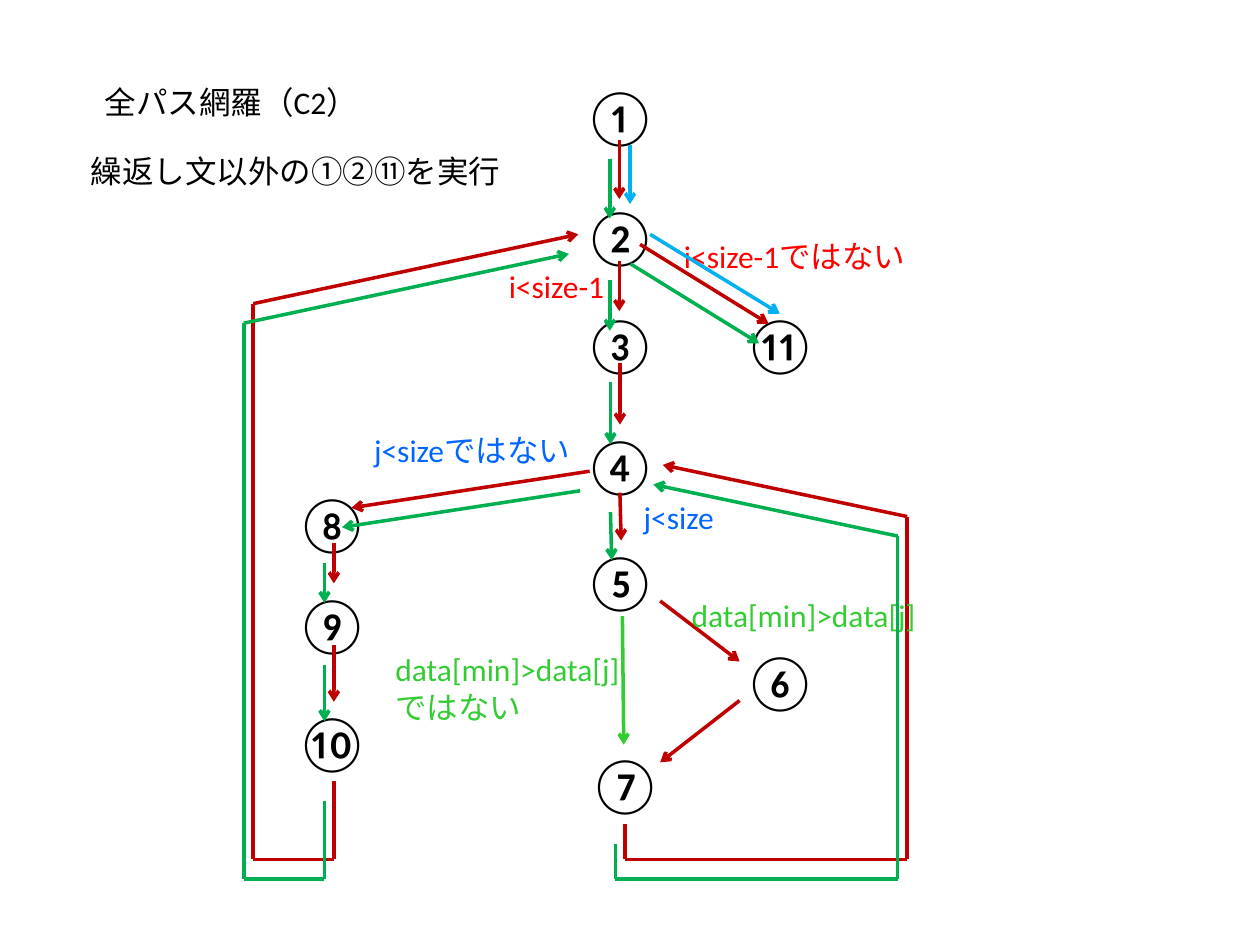
from dataclasses import dataclass

import pptx
import pptx.dml.color
import pptx.enum.shapes
import pptx.enum.text
import pptx.oxml
import pptx.oxml.ns
import pptx.util

Inches = pptx.util.Inches
Point = tuple[float, float]

BLACK, RED, BLUE, LIME = "000000", "FF0000", "0066FF", "33CC33"
LOOP_PATH, SKIP_PATH, EXIT_PATH = "C00000", "00B050", "00B0F0"

# Columns of the flow graph, in inches
LEFT, MIDDLE, END, RIGHT = 2.25, 4.53, 4.57, 5.8
NODE_SIZE = (0.79, 0.64)
# The second path runs beside the first one
SKIP_SHIFT = (-0.075, 0.155)


@dataclass(frozen=True)
class Node:
    number: str
    column: float
    top: float


@dataclass(frozen=True)
class Label:
    text: str
    left: float
    top: float
    width: float
    color: str
    height: float = 0.4


@dataclass(frozen=True)
class Route:
    points: tuple[Point, ...]
    shared: bool = True
    color: str = LOOP_PATH


NODES = [
    Node("①", MIDDLE, 0.6), Node("②", MIDDLE, 1.55), Node("③", MIDDLE, 2.41),
    Node("④", MIDDLE, 3.37), Node("⑤", MIDDLE, 4.29), Node("⑥", RIGHT, 5.08),
    Node("⑦", END, 5.9), Node("⑧", LEFT, 3.83), Node("⑨", LEFT, 4.63),
    Node("⑩", LEFT, 5.57), Node("⑪", RIGHT, 2.41),
]

ROUTES = [
    # Down the middle
    Route(((4.915, 1.11), (4.915, 1.58))),
    Route(((4.915, 2.07), (4.915, 2.47))),
    Route(((4.92, 2.88), (4.92, 3.37))),
    Route(((4.92, 3.91), (4.93, 4.29))),
    # The branch at node 5
    Route(((4.94, 4.89), (4.95, 5.91)), shared=False, color=LIME),
    Route(((5.24, 4.77), (5.87, 5.25)), shared=False),
    Route(((5.87, 5.56), (5.24, 6.05)), shared=False),
    # Down the left
    Route(((4.68, 3.74), (2.79, 4.03))),
    Route(((2.65, 4.31), (2.65, 4.63))),
    Route(((2.65, 5.12), (2.65, 5.57))),
    # Exit and the two loops back
    Route(((5.08, 1.94), (6.1, 2.57))),
    Route(((4.96, 6.54), (4.96, 6.82), (7.2, 6.82), (7.2, 4.1), (5.26, 3.69))),
    Route(((2.65, 6.2), (2.65, 6.82), (2.01, 6.82), (2.01, 2.41), (4.59, 1.86))),
]

EXIT_ROUTES = [
    Route(((5, 1.15), (5, 1.62)), color=EXIT_PATH),
    Route(((5.16, 1.86), (6.19, 2.49)), color=EXIT_PATH),
]

CONDITIONS = [
    Label("i<size-1", 3.94, 2.07, 0.96, RED),
    Label("i<size-1ではない", 5.33, 1.83, 2.02, RED),
    Label("j<sizeではない", 2.87, 3.37, 1.82, BLUE),
    Label("j<size", 5.01, 3.9, 0.76, BLUE),
    Label("data[min]>data[j]", 5.39, 4.68, 1.99, LIME),
    Label("data[min]>data[j]\nではない", 3.04, 5.11, 1.99, LIME, 0.7),
]
HEADING = Label("全パス網羅（C2）", 0.73, 0.61, 2.33, BLACK)
SUMMARY = Label("繰返し文以外の①②⑪を実行", 0.62, 1.16, 3.45, BLACK)


def rgb(color: str) -> pptx.dml.color.RGBColor:
    return pptx.dml.color.RGBColor.from_string(color)


def write(holder, text: str, size: float, color: str) -> None:
    frame = holder.text_frame
    frame.text = text
    frame.word_wrap = False
    frame.auto_size = pptx.enum.text.MSO_AUTO_SIZE.NONE
    frame.vertical_anchor = pptx.enum.text.MSO_ANCHOR.TOP
    for paragraph in frame.paragraphs:
        paragraph.alignment = pptx.enum.text.PP_ALIGN.LEFT
        for run in paragraph.runs:
            run.font.name = "Calibri"
            run.font.size = pptx.util.Pt(size)
            run.font.color.rgb = rgb(color)


def draw_node(slide, node: Node) -> None:
    circle = slide.shapes.add_textbox(
        Inches(node.column), Inches(node.top), *map(Inches, NODE_SIZE))
    write(circle, node.number, 32, BLACK)


def draw_label(slide, label: Label) -> None:
    box = slide.shapes.add_textbox(
        *map(Inches, (label.left, label.top, label.width, label.height)))
    write(box, label.text, 18, label.color)


def draw_route(slide, route: Route, color: str, shift: Point = (0, 0)) -> None:
    points = [(Inches(x + shift[0]), Inches(y + shift[1])) for x, y in route.points]
    for start, stop in zip(points, points[1:]):
        leg = slide.shapes.add_connector(
            pptx.enum.shapes.MSO_CONNECTOR.STRAIGHT, *start, *stop)
        leg.line.color.rgb = rgb(color)
        leg.line.width = pptx.util.Pt(2)
        properties = leg._element.spPr
        properties.append(pptx.oxml.parse_xml(
            f"<a:effectLst {pptx.oxml.ns.nsdecls('a')}/>"))
    # Only the last leg carries the arrowhead
    leg.line._get_or_add_ln().append(pptx.oxml.parse_xml(
        f"<a:tailEnd {pptx.oxml.ns.nsdecls('a')} type='arrow'/>"))


presentation = pptx.Presentation()
presentation.slide_width, presentation.slide_height = Inches(10), Inches(7.5)
title_only = presentation.slide_layouts.get_by_name("Title Only")
slide = presentation.slides.add_slide(title_only)

# Heading
heading = slide.shapes.title
heading.left, heading.top = Inches(HEADING.left), Inches(HEADING.top)
heading.width, heading.height = Inches(HEADING.width), Inches(HEADING.height)
write(heading, HEADING.text, 18, HEADING.color)

# Flow graph with its first path
for node in NODES:
    draw_node(slide, node)
for route in ROUTES:
    draw_route(slide, route, route.color)
for condition in CONDITIONS:
    draw_label(slide, condition)

# Second and third paths
for route in ROUTES:
    if route.shared:
        draw_route(slide, route, SKIP_PATH, SKIP_SHIFT)
for route in EXIT_ROUTES:
    draw_route(slide, route, route.color)
draw_label(slide, SUMMARY)

presentation.save("out.pptx")
